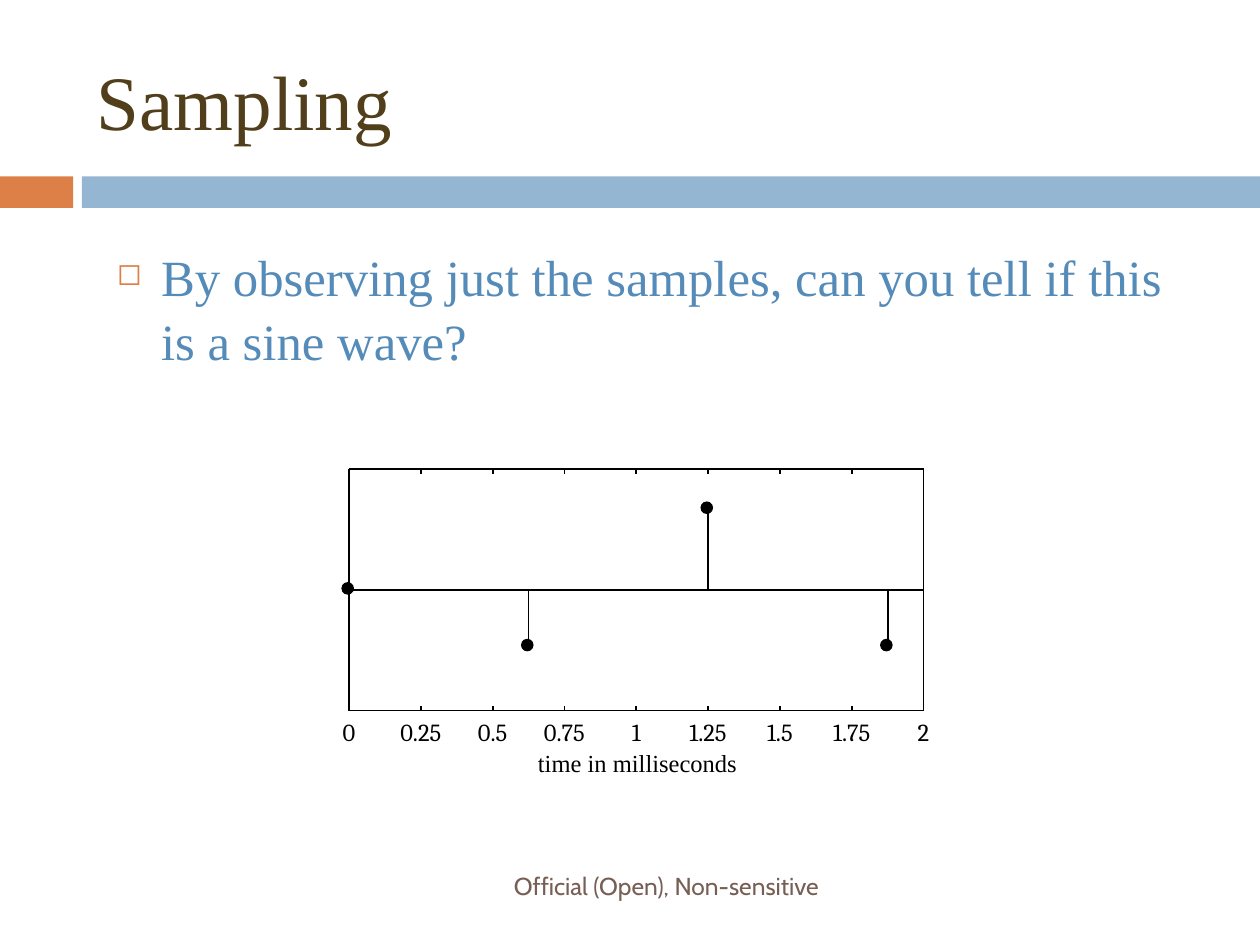
from lxml.etree import SubElement
from pptx import Presentation
from pptx.dml.color import RGBColor
from pptx.enum.shapes import MSO_CONNECTOR as Connector, MSO_SHAPE as Shape
from pptx.enum.text import MSO_ANCHOR as Anchor, PP_ALIGN as Align
from pptx.oxml.ns import qn
from pptx.util import Inches, Pt

BLACK = "000000"
LEFT, RIGHT, TOP, BOTTOM = 2.77, 7.33, 3.72, 5.64
AXIS = (TOP + BOTTOM) / 2
TICK_LENGTH = 0.04
TICK_LABELS = ["0", "0.25", "0.5", "0.75", "1", "1.25", "1.5", "1.75", "2"]
SAMPLES = [(0, AXIS), (0.625, 5.13), (1.25, 4.04), (1.875, 5.13)]


def color(value):
    """Turn a hex string into a colour."""
    return RGBColor.from_string(value)


def time_x(time):
    """Return the horizontal place of a time in milliseconds."""
    return LEFT + time * (RIGHT - LEFT) / 2


def add_text(page, text, place, size, font, fill, margins=(0.1, 0.05), **formats):
    """Add a wrapped one-paragraph text box and return its paragraph."""
    box = page.shapes.add_textbox(*map(Inches, place))
    frame = box.text_frame
    side, end = map(Inches, margins)
    frame_formats = {
        "word_wrap": True,
        "vertical_anchor": formats.pop("anchor", Anchor.TOP),
        "margin_left": side,
        "margin_right": side,
        "margin_top": end,
        "margin_bottom": end,
    }
    for name, value in frame_formats.items():
        setattr(frame, name, value)
    para = frame.paragraphs[0]
    for name, value in formats.items():
        setattr(para, name, value)
    span = para.add_run()
    span.text = text
    for name, value in {"size": Pt(size), "name": font}.items():
        setattr(span.font, name, value)
    span.font.color.rgb = color(fill)
    return para


def add_bullet(para, mark, fill, percent, indent):
    """Give a paragraph a hanging coloured bullet."""
    props = para._p.get_or_add_pPr()
    props.set("marL", str(Inches(indent)))
    props.set("indent", str(-Inches(indent)))
    tint = SubElement(props, qn("a:buClr"))
    SubElement(tint, qn("a:srgbClr"), val=fill)
    SubElement(props, qn("a:buSzPct"), val=str(percent * 1000))
    SubElement(props, qn("a:buChar"), char=mark)


def add_solid(page, kind, place, fill):
    """Add a filled shape without an outline."""
    shape = page.shapes.add_shape(kind, *map(Inches, place))
    shape.shadow.inherit = False
    shape.fill.solid()
    shape.fill.fore_color.rgb = color(fill)
    shape.line.fill.background()


def add_line(page, start, end):
    """Add a thin black straight line."""
    line = page.shapes.add_connector(
        Connector.STRAIGHT, *map(Inches, (*start, *end))
    )
    line.line.width = Pt(1)
    line.line.color.rgb = color(BLACK)
    SubElement(line._element.spPr, qn("a:effectLst"))


def add_ticks(page):
    """Add the ticks on both edges and the labels below."""
    for index, label in enumerate(TICK_LABELS):
        x = time_x(index / 4)
        add_line(page, (x, BOTTOM), (x, BOTTOM - TICK_LENGTH))
        add_line(page, (x, TOP), (x, TOP + TICK_LENGTH))
        add_text(page, label, (x - 0.25, 5.69, 0.5, 0.27), 14, "Cambria",
                 BLACK, (0, 0), alignment=Align.CENTER)


def add_plot_frame(page):
    """Add the plot edges and the zero axis."""
    for y in (TOP, AXIS, BOTTOM):
        add_line(page, (LEFT, y), (RIGHT, y))
    for x in (LEFT, RIGHT):
        add_line(page, (x, BOTTOM), (x, TOP))


def add_samples(page, size=0.1):
    """Add a stem and a dot for each sample."""
    for time, y in SAMPLES:
        x = time_x(time)
        if y != AXIS:
            add_line(page, (x, AXIS), (x, y))
        corner = (x - 0.01 - size / 2, y - 0.01 - size / 2)
        add_solid(page, Shape.OVAL, (*corner, size, size), BLACK)


def main():
    """Build the sampling slide and save it."""
    serif = "Times New Roman"
    deck = Presentation()
    deck.slide_width, deck.slide_height = Inches(10), Inches(7.5)
    page = deck.slides.add_slide(deck.slide_layouts[6])
    add_solid(page, Shape.RECTANGLE, (0, 1.4, 0.58, 0.25), "DD8047")
    add_solid(page, Shape.RECTANGLE, (0.65, 1.4, 9.35, 0.25), "94B6D2")
    add_text(page, "Sampling", (0.67, 0.25, 8.92, 1.08), 44, serif, "513E1B",
             anchor=Anchor.MIDDLE)
    question = add_text(
        page,
        "By observing just the samples, can you tell if this is a sine wave?",
        (0.83, 1.88, 8.7, 1), 29, serif, "558BB8", line_spacing=1.05,
    )
    add_bullet(question, "◻", "DD8047", 60, 0.35)
    add_ticks(page)
    add_plot_frame(page)
    add_text(page, "time in milliseconds", (4.05, 5.94, 2.02, 0.24), 14, serif,
             BLACK, (0, 0), alignment=Align.CENTER)
    add_samples(page)
    add_text(page, "Official (Open), Non-sensitive", (0.67, 6.83, 5.93, 0.4),
             14, "Cabin", "775F55", anchor=Anchor.MIDDLE, alignment=Align.RIGHT)
    deck.save("out.pptx")


if __name__ == "__main__":
    main()
